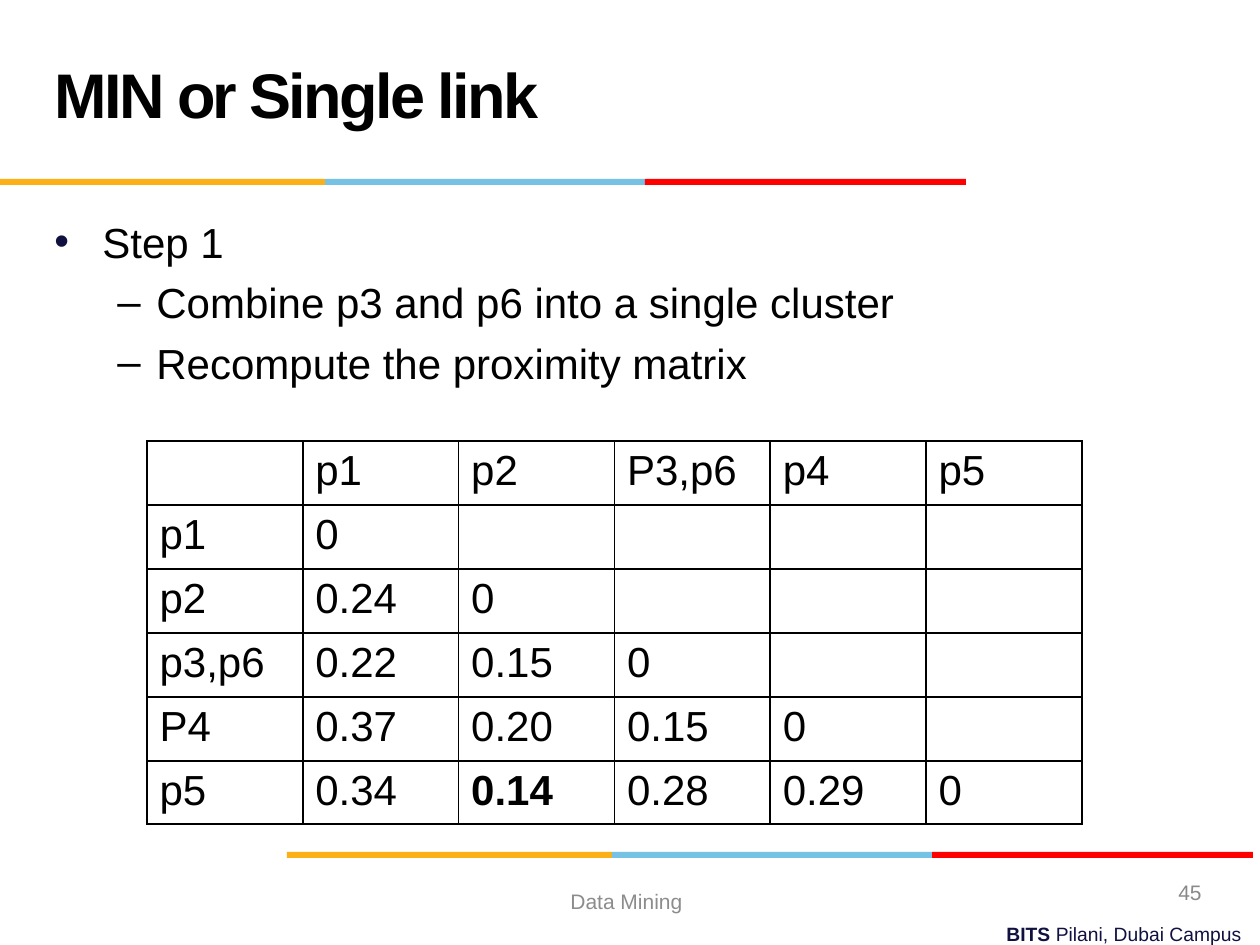
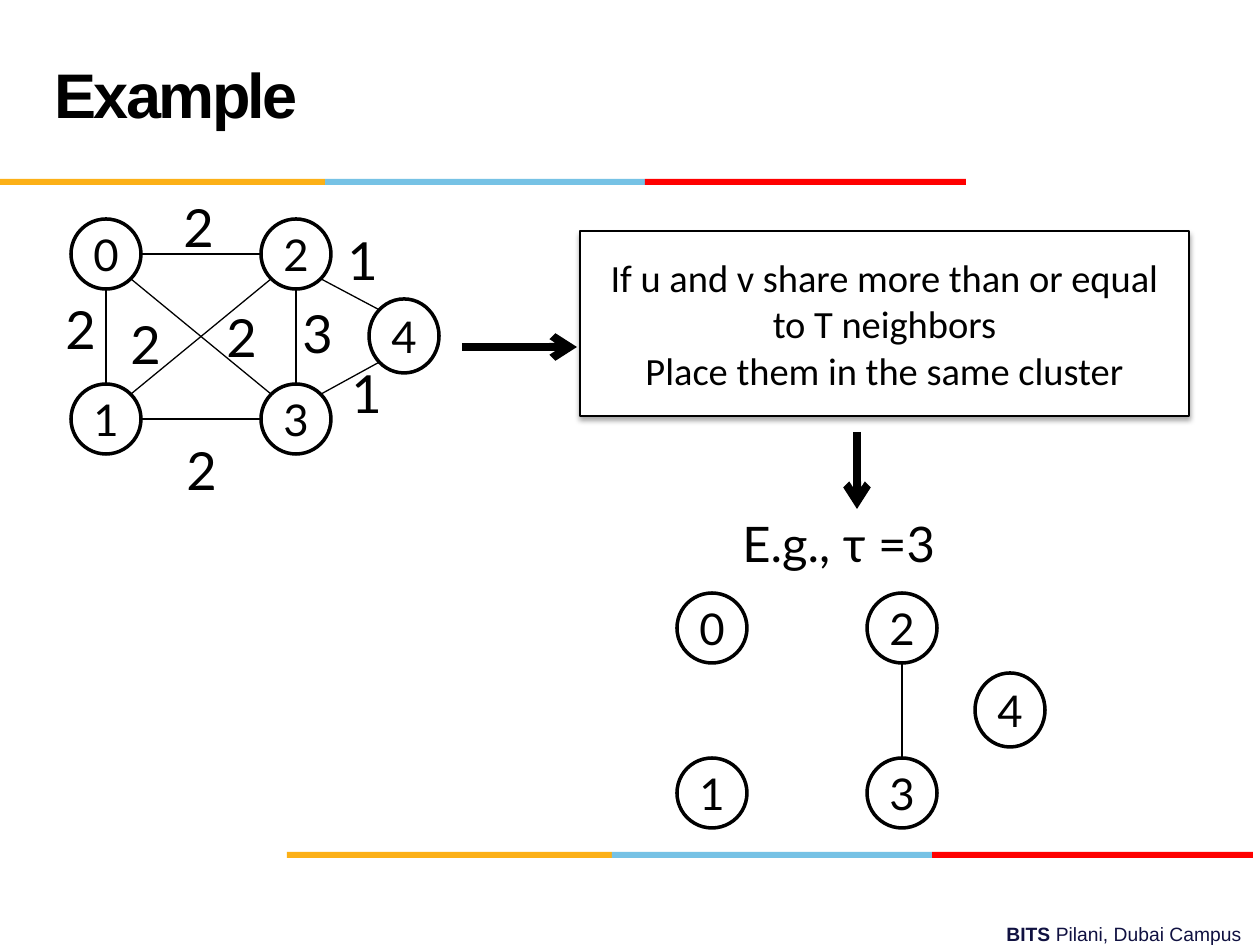
import math

import pptx
import pptx.dml.color
import pptx.enum.shapes
import pptx.enum.text
import pptx.oxml
import pptx.oxml.ns
import pptx.util
from lxml import etree

EMU_PER_PX = 914400 / 126
COLOURS = {
    "black": "000000", "white": "FFFFFF", "navy": "101141", "amber": "FCB017",
    "sky": "76C2E5", "red": "FF0000", "footer": "8C8C8C", "number": "898989",
}
BAND_PARTS = [("amber", 0, 325), ("sky", 325, 320), ("red", 645, 321)]
BAND_ORIGINS = [(0, 179), (287, 852)]
CAMPUS = [("BITS ", True), ("Pilani, Dubai Campus", False)]

STEPS = [
    (0, "Step 1"),
    (1, "Combine p3 and p6 into a single cluster"),
    (1, "Recompute the proximity matrix"),
]
# level: left margin, hanging indent, bullet, bullet colour
BULLETS = {0: (48, 48, "•", "navy"), 1: (102, 39, "–", "black")}
PROXIMITY = [
    ["", "p1", "p2", "P3,p6", "p4", "p5"],
    ["p1", "0"],
    ["p2", "0.24", "0"],
    ["p3,p6", "0.22", "0.15", "0"],
    ["P4", "0.37", "0.20", "0.15", "0"],
    ["p5", "0.34", "0.14", "0.28", "0.29", "0"],
]
SMALLEST = "0.14"
ROW_HEIGHTS = [64, 64, 64, 64, 64, 60]

NODES = {
    "0": (71, 219, 70, 70), "1": (71, 384, 70, 70), "2": (261, 219, 70, 70),
    "3": (261, 384, 70, 70), "4": (369, 299, 70, 74),
}
EDGES = ["02", "21", "23", "34", "01", "13", "24", "03"]
SHARED_NEIGHBOURS = [
    ("2", 53, 291), ("2", 171, 189), ("2", 214, 299), ("2", 118, 306),
    ("1", 339, 355), ("1", 335, 222), ("3", 290, 295), ("2", 174, 432),
]
CLUSTER_OFFSET = (606, 374)
CLUSTER_EDGES = ["23"]
RULE = ["If u and v share more than or equal to T neighbors",
        "Place them in the same cluster"]
ARROWS = [((462, 347), (577, 347)), ((857, 432), (857, 509))]

ALIGN = pptx.enum.text.PP_ALIGN
ANCHOR = pptx.enum.text.MSO_ANCHOR
SHAPE = pptx.enum.shapes.MSO_SHAPE
qn = pptx.oxml.ns.qn


def px(length):
    return pptx.util.Emu(round(length * EMU_PER_PX))


def place(*lengths):
    return [px(length) for length in lengths]


def rgb(name):
    return pptx.dml.color.RGBColor.from_string(COLOURS[name])


def add_xml(parent, tag, **attributes):
    return etree.SubElement(parent, qn(tag), attributes)


def add_colour(parent, name):
    return add_xml(parent, "a:srgbClr", val=COLOURS[name])


def style(paragraph, size, font="Arial", colour="black", align=ALIGN.LEFT):
    paragraph.alignment = align
    paragraph.font.size = pptx.util.Pt(size)
    paragraph.font.name = font
    paragraph.font.color.rgb = rgb(colour)


def add_text(slide, box, text, size, wrap=True, anchor=ANCHOR.TOP, **look):
    frame = slide.shapes.add_textbox(*place(*box)).text_frame
    frame.word_wrap = wrap
    frame.vertical_anchor = anchor
    frame.text = text
    style(frame.paragraphs[0], size, **look)
    return frame


def add_box(slide, kind, box, fill, line_width=None):
    shape = slide.shapes.add_shape(kind, *place(*box))
    shape.shadow.inherit = False
    shape.fill.solid()
    shape.fill.fore_color.rgb = rgb(fill)
    if line_width:
        shape.line.color.rgb = rgb("black")
        shape.line.width = pptx.util.Pt(line_width)
    else:
        shape.line.fill.background()
    return shape


def add_line(slide, start, end, width, arrow=False):
    line = slide.shapes.add_connector(
        pptx.enum.shapes.MSO_CONNECTOR.STRAIGHT, *place(*start, *end))
    line.line.color.rgb = rgb("black")
    line.line.width = pptx.util.Pt(width)
    properties = line._element.spPr
    if arrow:
        add_xml(properties.find(qn("a:ln")), "a:tailEnd", type="arrow")
    add_xml(properties, "a:effectLst")


def add_slide(deck, heading):
    """Add a title-only slide with the shared bands and campus line."""
    slide = deck.slides.add_slide(deck.slide_layouts[5])
    for left, top in BAND_ORIGINS:
        for colour, offset, width in BAND_PARTS:
            add_box(slide, SHAPE.RECTANGLE, (left + offset, top, width, 6), colour)

    campus = add_text(slide, (445, 916, 809, 37), "", 11,
                      colour="navy", align=ALIGN.RIGHT).paragraphs[0]
    for words, bold in CAMPUS:
        run = campus.add_run()
        run.text, run.font.bold = words, bold

    title = slide.shapes.title
    title.left, title.top, title.width, title.height = place(42, 21, 872, 158)
    frame = title.text_frame
    frame.text = heading
    frame.auto_size = pptx.enum.text.MSO_AUTO_SIZE.NONE
    frame.vertical_anchor = ANCHOR.MIDDLE
    paragraph = frame.paragraphs[0]
    style(paragraph, 36)
    paragraph.font.bold = True
    paragraph.line_spacing = pptx.util.Pt(36)
    paragraph.runs[0].font._element.set("spc", "-150")
    return slide


def add_steps(slide):
    frame = slide.shapes.add_textbox(*place(42, 210, 1134, 190)).text_frame
    frame.word_wrap = True
    for index, (level, text) in enumerate(STEPS):
        paragraph = frame.add_paragraph() if index else frame.paragraphs[0]
        paragraph.text = text
        paragraph.level = level
        if index:
            paragraph.space_before = pptx.util.Pt(5.75)
        margin, hanging, bullet, colour = BULLETS[level]
        properties = paragraph._p.get_or_add_pPr()
        properties.set("marL", str(px(margin)))
        properties.set("indent", str(px(-hanging)))
        add_colour(add_xml(properties, "a:buClr"), colour)
        add_xml(properties, "a:buFont", typeface="Arial")
        add_xml(properties, "a:buChar", char=bullet)
        style(paragraph, 24)


def add_proximity_table(slide):
    size = len(PROXIMITY)
    table = slide.shapes.add_table(
        size, size, *place(147, 441, 935, sum(ROW_HEIGHTS))).table
    table.first_row = table.horz_banding = False
    for row, height in zip(table.rows, ROW_HEIGHTS):
        row.height = px(height)
    for r, values in enumerate(PROXIMITY):
        for c in range(size):
            cell = table.cell(r, c)
            cell.text = values[c] if c < len(values) else ""
            paragraph = cell.text_frame.paragraphs[0]
            style(paragraph, 24)
            paragraph.font.bold = cell.text == SMALLEST
            properties = cell._tc.get_or_add_tcPr()
            for side in ("a:lnL", "a:lnR", "a:lnT", "a:lnB"):
                border = add_xml(properties, side, w=str(pptx.util.Pt(1)))
                add_colour(add_xml(border, "a:solidFill"), "black")
            cell.fill.background()


def centre(node):
    left, top, width, height = NODES[node]
    return left + width / 2, top + height / 2


def edge_end(node, other):
    """Point on the node's rim, at the 45° step nearest to the other node."""
    (x, y), (other_x, other_y) = centre(node), centre(other)
    step = math.pi / 4
    angle = round(math.atan2(other_y - y, other_x - x) / step) * step
    width, height = NODES[node][2:]
    return x + width / 2 * math.cos(angle), y + height / 2 * math.sin(angle)


def add_graph(slide, edges, offset=(0, 0)):
    dx, dy = offset
    for label, (left, top, width, height) in NODES.items():
        node = add_box(slide, SHAPE.OVAL, (left + dx, top + dy, width, height),
                       "white", 2)
        frame = node.text_frame
        frame.margin_left = frame.margin_right = 0
        frame.margin_top = frame.margin_bottom = 0
        frame.vertical_anchor = ANCHOR.MIDDLE
        frame.word_wrap = False
        frame.text = label
        style(frame.paragraphs[0], 25, "Lato", align=ALIGN.CENTER)
    for first, second in edges:
        ends = [edge_end(first, second), edge_end(second, first)]
        add_line(slide, *[(x + dx, y + dy) for x, y in ends], 0.75)


def add_rule(slide):
    rule = add_box(slide, SHAPE.RECTANGLE, (580, 231, 609, 185), "white", 0.75)
    shadow = add_xml(rule._element.spPr.find(qn("a:effectLst")), "a:outerShdw",
                     blurRad=str(pptx.util.Pt(3.1)), dist=str(pptx.util.Pt(1.8)),
                     dir="5400000", rotWithShape="0")
    add_xml(add_colour(shadow, "black"), "a:alpha", val="35000")
    frame = rule.text_frame
    frame.word_wrap = True
    frame.vertical_anchor = ANCHOR.MIDDLE
    frame.text = "\n".join(RULE)
    for paragraph in frame.paragraphs:
        style(paragraph, 22, "Calibri", align=ALIGN.CENTER)


def build_single_link(deck):
    slide = add_slide(deck, "MIN or Single link")
    add_steps(slide)
    add_proximity_table(slide)
    add_text(slide, (427, 876, 399, 50), "Data Mining", 12, anchor=ANCHOR.MIDDLE,
             colour="footer", align=ALIGN.CENTER)
    add_text(slide, (920, 867, 294, 50), "45", 12, anchor=ANCHOR.MIDDLE,
             colour="number", align=ALIGN.RIGHT)


def build_example(deck):
    slide = add_slide(deck, "Example")
    add_graph(slide, EDGES)
    for count, left, top in SHARED_NEIGHBOURS:
        add_text(slide, (left, top, 62, 77), count, 30, font="Lato")
    add_rule(slide)
    for start, end in ARROWS:
        add_line(slide, start, end, 4.5, arrow=True)
    add_graph(slide, CLUSTER_EDGES, CLUSTER_OFFSET)
    add_text(slide, (730, 507, 239, 72), "E.g., τ =3", 28, wrap=False, font="Lato")


def main():
    deck = pptx.Presentation()
    deck.slide_width, deck.slide_height = place(1260, 945)
    build_single_link(deck)
    build_example(deck)
    deck.save("out.pptx")


if __name__ == "__main__":
    main()
